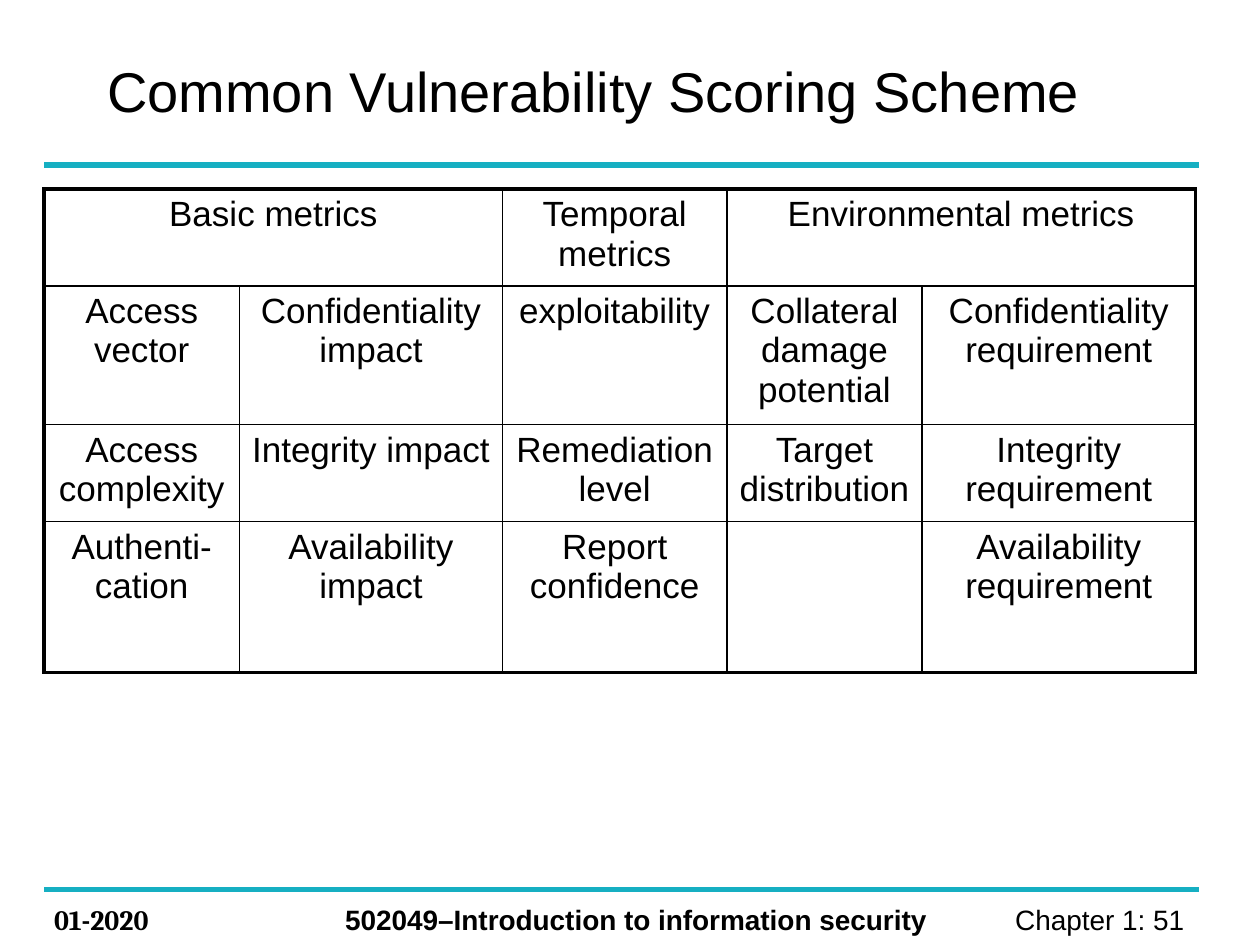
from dataclasses import dataclass
from lxml import etree
from pptx import Presentation
from pptx.dml.color import RGBColor
from pptx.enum.shapes import MSO_CONNECTOR
from pptx.enum.text import MSO_ANCHOR, MSO_AUTO_SIZE, PP_ALIGN
from pptx.oxml.ns import qn
from pptx.util import Pt

LEFT, CENTER, RIGHT = PP_ALIGN.LEFT, PP_ALIGN.CENTER, PP_ALIGN.RIGHT
TOP, MIDDLE = MSO_ANCHOR.TOP, MSO_ANCHOR.MIDDLE
NO_AUTOFIT = MSO_AUTO_SIZE.NONE
STRAIGHT = MSO_CONNECTOR.STRAIGHT


@dataclass(frozen=True)
class Theme:
    ink: str = "000000"
    accent: str = "16AFC2"
    font: str = "Arial"
    date_font: str = "Cambria"
    title_size: float = 32
    table_size: float = 20
    footer_size: float = 16
    rule_width: float = 3
    frame_width: float = 2.25
    grid_width: float = 1


THEME = Theme()
COLUMN_WIDTHS = [111.6, 150.4, 128.2, 111.6, 156.2]
ROW_HEIGHTS = [55.4, 79.2, 55.4, 86.4]
METRIC_GROUPS = [("Basic metrics", 2), ("Temporal metrics", 1), ("Environmental metrics", 2)]
METRICS = [
    ["Access vector", "Confidentiality impact", "exploitability",
     "Collateral damage potential", "Confidentiality requirement"],
    ["Access complexity", "Integrity impact", "Remediation level",
     "Target distribution", "Integrity requirement"],
    ["Authenti-cation", "Availability impact", "Report confidence",
     "", "Availability requirement"],
]


def write_text(frame, text, size, font=THEME.font, bold=False, align=LEFT, anchor=TOP):
    frame.word_wrap = True
    frame.vertical_anchor = anchor
    paragraph = frame.paragraphs[0]
    paragraph.alignment = align
    paragraph.font.size = Pt(size)
    if text:
        run = paragraph.add_run()
        run.text = text
        run.font.name = font
        run.font.size = Pt(size)
        run.font.bold = bold
        run.font.color.rgb = RGBColor.from_string(THEME.ink)


def add_rule(slide, left, top, width):
    rule = slide.shapes.add_connector(STRAIGHT, Pt(left), Pt(top), Pt(left + width), Pt(top))
    rule.line.color.rgb = RGBColor.from_string(THEME.accent)
    rule.line.width = Pt(THEME.rule_width)
    etree.SubElement(rule.element.spPr, qn("a:effectLst"))


def set_borders(cell, widths):
    properties = cell._tc.get_or_add_tcPr()
    for index, (side, width) in enumerate(widths.items()):
        line = etree.Element(qn(f"a:ln{side}"), w=str(Pt(width)))
        fill = etree.SubElement(line, qn("a:solidFill"))
        etree.SubElement(fill, qn("a:srgbClr"), val=THEME.ink)
        properties.insert(index, line)


def build_title(slide, left, top, width, height):
    title = slide.shapes.title
    title.left, title.top, title.width, title.height = map(Pt, (left, top, width, height))
    title.text_frame.auto_size = NO_AUTOFIT
    write_text(title.text_frame, "Common Vulnerability Scoring Scheme",
               THEME.title_size, anchor=MIDDLE)


def build_metrics_table(slide, left, top):
    row_count, column_count = len(ROW_HEIGHTS), len(COLUMN_WIDTHS)
    table = slide.shapes.add_table(
        row_count, column_count, Pt(left), Pt(top),
        Pt(sum(COLUMN_WIDTHS)), Pt(sum(ROW_HEIGHTS))).table
    table.first_row = table.horz_banding = False
    for column, width in zip(table.columns, COLUMN_WIDTHS):
        column.width = Pt(width)
    for row, height in zip(table.rows, ROW_HEIGHTS):
        row.height = Pt(height)
    rows = [METRIC_GROUPS] + [[(text, 1) for text in texts] for texts in METRICS]
    for row_index, entries in enumerate(rows):
        column_index = 0
        for text, span in entries:
            end = column_index + span
            cell = table.cell(row_index, column_index)
            if span > 1:
                cell.merge(table.cell(row_index, end - 1))
            write_text(cell.text_frame, text, THEME.table_size, align=CENTER)
            outer_sides = {
                "L": column_index == 0,
                "R": end == column_count,
                "T": row_index == 0,
                "B": row_index == row_count - 1,
            }
            widths = {side: THEME.frame_width if outer else THEME.grid_width
                      for side, outer in outer_sides.items()}
            for position in range(column_index, end):
                part = table.cell(row_index, position)
                part.fill.background()
                set_borders(part, widths)
            column_index = end


def build_footer(slide, left, top, width):
    add_rule(slide, left, top, width)
    items = [
        ("01-2020", -1.4, 96, {"font": THEME.date_font, "bold": True}),
        ("502049–Introduction to information security", 164.9, 363, {"bold": True}),
        ("Chapter 1: 51 ", 504.7, 158.4, {"align": RIGHT}),
    ]
    for text, offset, box_width, style in items:
        box = slide.shapes.add_textbox(Pt(left + offset), Pt(top + 3.7), Pt(box_width), Pt(26.6))
        write_text(box.text_frame, text, THEME.footer_size, **style)


def main():
    presentation = Presentation()
    presentation.slide_width, presentation.slide_height = Pt(720), Pt(540)
    slide = presentation.slides.add_slide(presentation.slide_layouts[5])
    build_title(slide, 54, 20.2, 606.2, 62.6)
    add_rule(slide, 25.2, 94.3, 660.2)
    build_metrics_table(slide, 25.2, 108)
    build_footer(slide, 25.2, 508.3, 660.2)
    presentation.save("out.pptx")


main()
